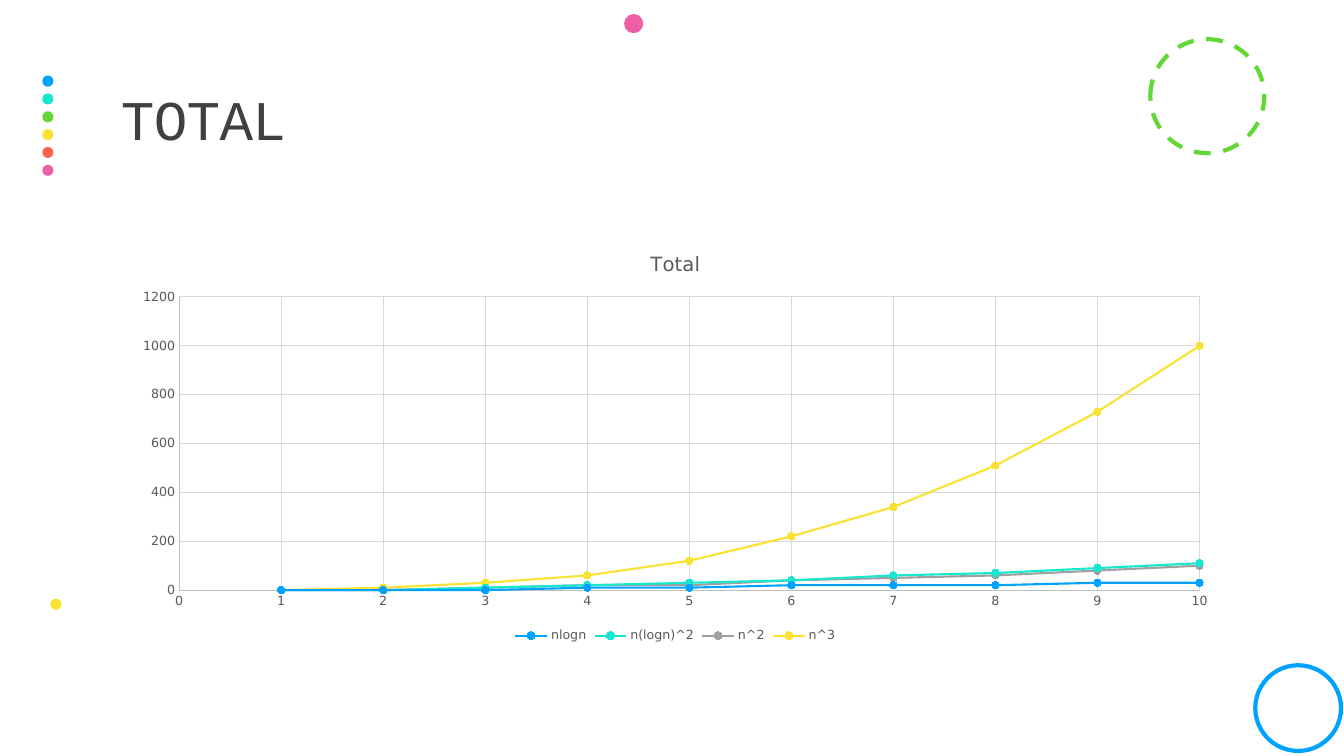
from pptx import Presentation
from pptx.chart.data import XyChartData
from pptx.dml.color import RGBColor
from pptx.enum.chart import XL_CHART_TYPE as ChartType, XL_LEGEND_POSITION as LegendPosition
from pptx.enum.chart import XL_MARKER_STYLE as MarkerStyle, XL_TICK_MARK as TickMark
from pptx.enum.dml import MSO_LINE_DASH_STYLE as Dash
from pptx.enum.shapes import MSO_SHAPE as Shape
from pptx.enum.text import MSO_ANCHOR as Anchor, PP_ALIGN as Align
from pptx.util import Inches, Pt

BLUE, TEAL, GREEN = "00A2FF", "16E7CF", "61D836"
YELLOW, CORAL, PINK, GRAY = "FAE232", "FF644E", "EF5FA7", "A0A0A0"

deck = Presentation()
deck.slide_width, deck.slide_height = Inches(13.33), Inches(7.5)
column, row = deck.slide_width / 100, deck.slide_height / 100
slide = deck.slides.add_slide(deck.slide_layouts[5])


def paint(color_format, hex_color):
    color_format.rgb = RGBColor.from_string(hex_color)


def style_font(font, size, hex_color, family="DejaVu Sans"):
    for key, value in {"size": Pt(size), "name": family, "bold": False}.items():
        setattr(font, key, value)
    paint(font.color, hex_color)


dot_size = 0.83
circles = [(3.56, 10.73 + 2.36 * place, dot_size, hue, None)
           for place, hue in enumerate([BLUE, TEAL, GREEN, YELLOW, CORAL, PINK])]
circles += [
    (89.83, 12.73, 8.48, GREEN, Dash.DASH),
    (47.15, 3.13, 1.43, PINK, None),
    (4.16, 79.93, dot_size, YELLOW, None),
    (96.59, 93.67, 6.38, BLUE, Dash.SOLID),
]
for center_column, center_row, diameter, hue, outline in circles:
    size = diameter * column
    circle = slide.shapes.add_shape(
        Shape.OVAL, int(center_column * column - size / 2),
        int(center_row * row - size / 2), int(size), int(size))
    circle.shadow.inherit = False
    if outline is None:
        circle.fill.solid()
        paint(circle.fill.fore_color, hue)
        circle.line.fill.background()
    else:
        circle.fill.background()
        paint(circle.line.color, hue)
        circle.line.width = Pt(3)
        circle.line.dash_style = outline

left, width = int(9 * column), int(82.5 * column)

heading = slide.shapes.title
for key, value in {"left": left, "top": int(6.13 * row),
                   "width": width, "height": int(20 * row)}.items():
    setattr(heading, key, value)
frame = heading.text_frame
frame.text = "TOTAL"
for key, value in {"margin_left": 0, "margin_right": 0, "margin_top": Inches(0.05),
                   "margin_bottom": Inches(0.05), "vertical_anchor": Anchor.MIDDLE,
                   "word_wrap": True}.items():
    setattr(frame, key, value)
heading_line = frame.paragraphs[0]
heading_line.alignment = Align.LEFT
heading_line.line_spacing = 0.9
heading_run = heading_line.runs[0]
style_font(heading_run.font, 40, "404040", "Courier New")
heading_run._r.get_or_add_rPr().set("spc", "-50")

growth = [
    ("nlogn", BLUE, BLUE, [0, 0, 0, 10, 10, 20, 20, 20, 30, 30]),
    ("n(logn)^2", TEAL, TEAL, [0, 0, 10, 20, 30, 40, 60, 70, 90, 110]),
    ("n^2", GRAY, GREEN, [0, 0, 10, 20, 20, 40, 50, 60, 80, 100]),
    ("n^3", YELLOW, YELLOW, [0, 10, 30, 60, 120, 220, 340, 510, 730, 1000]),
]
growth_data = XyChartData()
for name, _, _, costs in growth:
    curve_data = growth_data.add_series(name)
    for n, cost in enumerate(costs, 1):
        curve_data.add_data_point(n, cost)

chart = slide.shapes.add_chart(
    ChartType.XY_SCATTER_LINES, left, int(30.8 * row), width, int(54.8 * row),
    growth_data).chart
style_font(chart.font, 10, "000000")
chart.plots[0].vary_by_categories = False

chart.has_title = True
chart.chart_title.text_frame.text = "Total"
style_font(chart.chart_title.text_frame.paragraphs[0].runs[0].font, 14, "595959")

chart.has_legend = True
chart.legend.position = LegendPosition.BOTTOM
chart.legend.include_in_layout = False
style_font(chart.legend.font, 9, "595959")

scales = [
    (chart.category_axis, {"minimum_scale": 0, "maximum_scale": 10, "major_unit": 1}),
    (chart.value_axis, {"minimum_scale": 0, "maximum_scale": 1200, "major_unit": 200}),
]
for axis, scale in scales:
    ticks = {"major_tick_mark": TickMark.NONE, "minor_tick_mark": TickMark.NONE,
             "has_major_gridlines": True}
    for key, value in {**scale, **ticks}.items():
        setattr(axis, key, value)
    style_font(axis.tick_labels.font, 9, "595959")
    for rule, hue in [(axis.format.line, "BFBFBF"),
                      (axis.major_gridlines.format.line, "D9D9D9")]:
        paint(rule.color, hue)
        rule.width = Pt(0.75)

for curve, (_, line_hue, marker_hue, _) in zip(chart.plots[0].series, growth):
    curve.smooth = False
    paint(curve.format.line.color, line_hue)
    curve.format.line.width = Pt(1.5)
    curve.marker.style = MarkerStyle.CIRCLE
    curve.marker.size = 5
    curve.marker.format.fill.solid()
    paint(curve.marker.format.fill.fore_color, marker_hue)
    paint(curve.marker.format.line.color, marker_hue)

deck.save("out.pptx")
